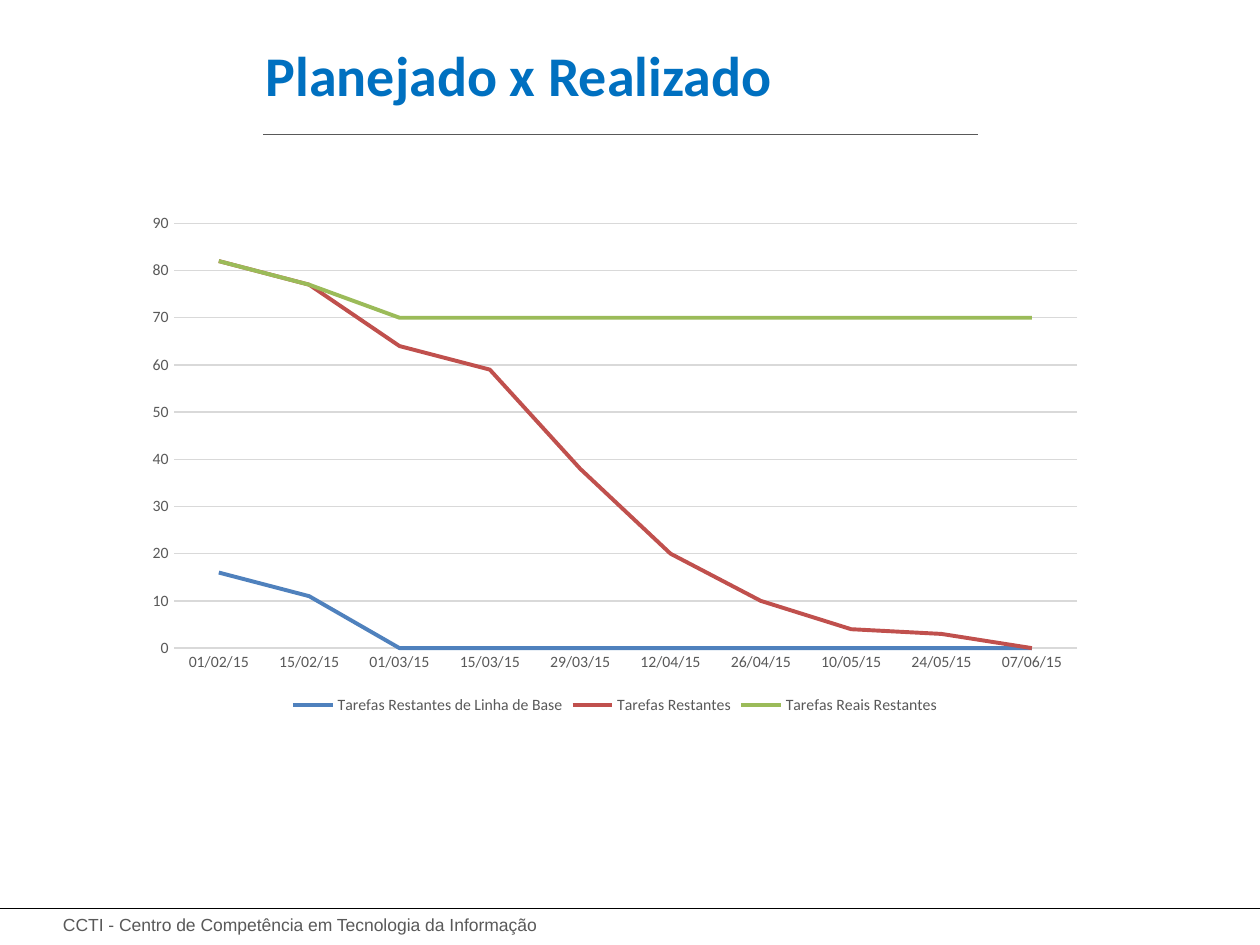
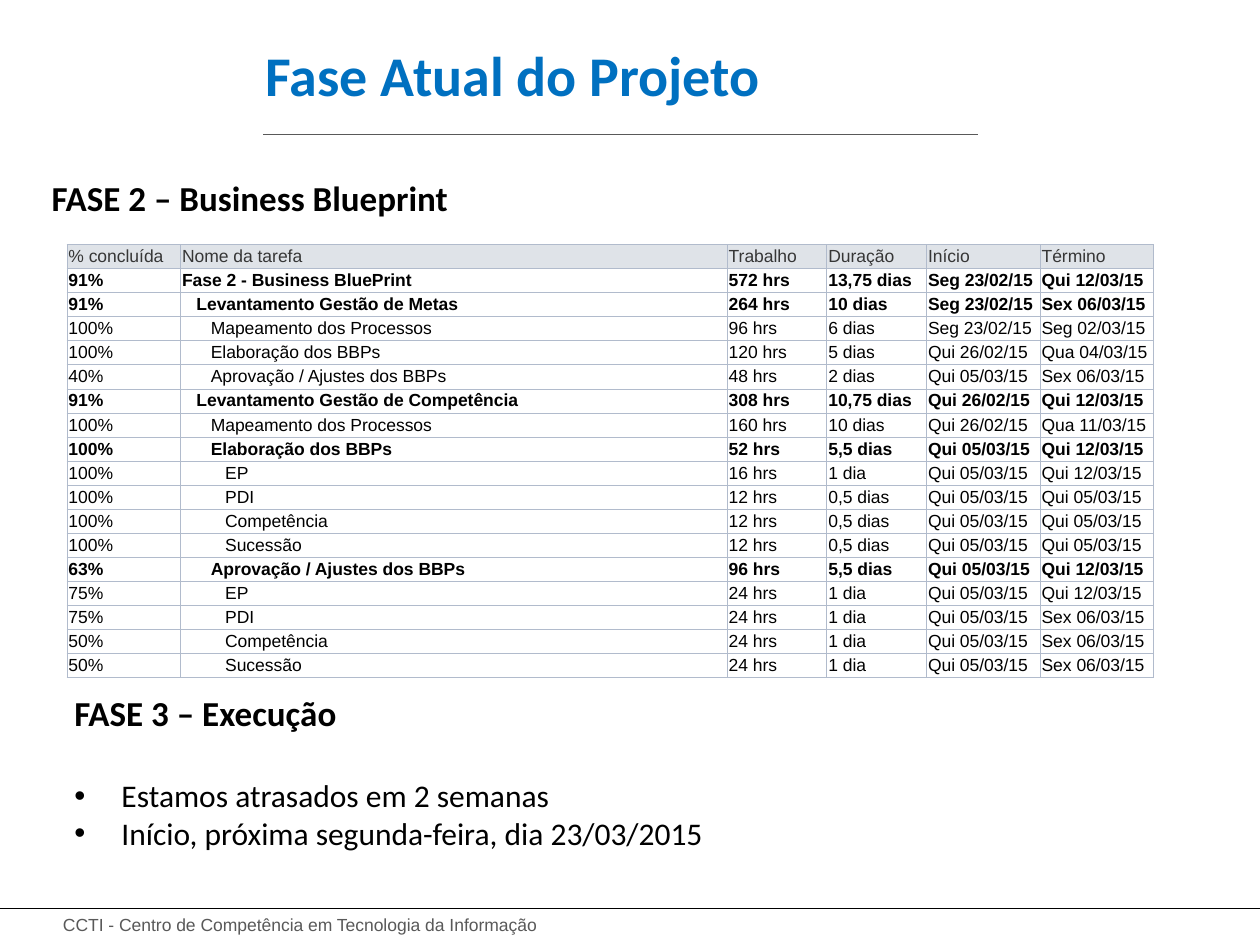
from dataclasses import dataclass

from lxml import etree
from pptx import Presentation
from pptx.chart.data import CategoryChartData
from pptx.dml.color import RGBColor
from pptx.enum.chart import XL_CHART_TYPE, XL_LEGEND_POSITION, XL_TICK_MARK
from pptx.enum.shapes import MSO_CONNECTOR
from pptx.enum.text import MSO_ANCHOR, PP_ALIGN
from pptx.oxml.ns import qn
from pptx.util import Cm, Pt

LINE_CHART = XL_CHART_TYPE.LINE
LEGEND_BOTTOM = XL_LEGEND_POSITION.BOTTOM
NO_TICK = XL_TICK_MARK.NONE
STRAIGHT = MSO_CONNECTOR.STRAIGHT
TOP, MIDDLE = MSO_ANCHOR.TOP, MSO_ANCHOR.MIDDLE
JUSTIFY = PP_ALIGN.JUSTIFY


@dataclass(frozen=True)
class Theme:
    title_color: str = "0070C0"
    ink: str = "000000"
    muted: str = "595959"
    grid: str = "D9D9D9"
    series: tuple = ("4F81BD", "C0504D", "9BBB59")
    header_ink: str = "363636"
    header_fill: str = "DFE3E8"
    cell_fill: str = "FFFFFF"
    border: str = "B1BBCC"
    heading_font: str = "Calibri"
    body_font: str = "Arial"
    title_size: int = 32
    heading_size: int = 20
    bullet_size: int = 18
    small_size: int = 10
    chart_size: int = 9


THEME = Theme()

# Boxes are left, top, width, height in centimetres
SLIDE_WIDTH, SLIDE_HEIGHT = 25.4, 19.05
TITLE_BOX = (5.11, 0.38, 15.67, 2.21)
FOOTER_BOX = (1.02, 18.31, 12.5, 0.69)
CHART_BOX = (2.69, 4.11, 19.41, 10.39)
PHASE_2_BOX = (0.89, 3.12, 23.19, 1.27)
TABLE_BOX = (1.35, 4.93, 21.91, 8.51)
PHASE_3_BOX = (1.35, 13.51, 23.19, 3.68)

FOOTER = "CCTI - Centro de Competência em Tecnologia da Informação"

DATES = ("01/02/15", "15/02/15", "01/03/15", "15/03/15", "29/03/15",
         "12/04/15", "26/04/15", "10/05/15", "24/05/15", "07/06/15")
REMAINING_TASKS = {
    "Tarefas Restantes de Linha de Base": (16, 11) + (0,) * 8,
    "Tarefas Restantes": (82, 77, 64, 59, 38, 20, 10, 4, 3, 0),
    "Tarefas Reais Restantes": (82, 77) + (70,) * 8,
}

COLUMN_WIDTHS = (2.29, 11.02, 2.01, 2.01, 2.29, 2.29)
TABLE_HEADER = ("% concluída", "Nome da tarefa", "Trabalho", "Duração",
                "Início", "Término")
# Outline level, bold, then the cell texts
TASKS = (
    (0, True, "91%", "Fase 2 - Business BluePrint", "572 hrs", "13,75 dias", "Seg 23/02/15", "Qui 12/03/15"),
    (1, True, "91%", "Levantamento Gestão de Metas", "264 hrs", "10 dias", "Seg 23/02/15", "Sex 06/03/15"),
    (2, False, "100%", "Mapeamento dos Processos", "96 hrs", "6 dias", "Seg 23/02/15", "Seg 02/03/15"),
    (2, False, "100%", "Elaboração dos BBPs", "120 hrs", "5 dias", "Qui 26/02/15", "Qua 04/03/15"),
    (2, False, "40%", "Aprovação / Ajustes dos BBPs", "48 hrs", "2 dias", "Qui 05/03/15", "Sex 06/03/15"),
    (1, True, "91%", "Levantamento Gestão de Competência", "308 hrs", "10,75 dias", "Qui 26/02/15", "Qui 12/03/15"),
    (2, False, "100%", "Mapeamento dos Processos", "160 hrs", "10 dias", "Qui 26/02/15", "Qua 11/03/15"),
    (2, True, "100%", "Elaboração dos BBPs", "52 hrs", "5,5 dias", "Qui 05/03/15", "Qui 12/03/15"),
    (3, False, "100%", "EP", "16 hrs", "1 dia", "Qui 05/03/15", "Qui 12/03/15"),
    (3, False, "100%", "PDI", "12 hrs", "0,5 dias", "Qui 05/03/15", "Qui 05/03/15"),
    (3, False, "100%", "Competência", "12 hrs", "0,5 dias", "Qui 05/03/15", "Qui 05/03/15"),
    (3, False, "100%", "Sucessão", "12 hrs", "0,5 dias", "Qui 05/03/15", "Qui 05/03/15"),
    (2, True, "63%", "Aprovação / Ajustes dos BBPs", "96 hrs", "5,5 dias", "Qui 05/03/15", "Qui 12/03/15"),
    (3, False, "75%", "EP", "24 hrs", "1 dia", "Qui 05/03/15", "Qui 12/03/15"),
    (3, False, "75%", "PDI", "24 hrs", "1 dia", "Qui 05/03/15", "Sex 06/03/15"),
    (3, False, "50%", "Competência", "24 hrs", "1 dia", "Qui 05/03/15", "Sex 06/03/15"),
    (3, False, "50%", "Sucessão", "24 hrs", "1 dia", "Qui 05/03/15", "Sex 06/03/15"),
)


def rgb(color):
    return RGBColor.from_string(color)


def set_font(font, name, size, color, bold=False):
    font.name, font.size, font.bold = name, Pt(size), bold
    font.color.rgb = rgb(color)


def add_text(slide, box, text, font, anchor=TOP):
    """Add a text box; font is name, size, colour and optional bold."""
    shape = slide.shapes.add_textbox(*map(Cm, box))
    text_frame = shape.text_frame
    text_frame.word_wrap = True
    text_frame.vertical_anchor = anchor
    text_frame.text = text
    set_font(text_frame.paragraphs[0].runs[0].font, *font)
    return text_frame


def add_rule(slide, left, top, width, color, points):
    rule = slide.shapes.add_connector(
        STRAIGHT, Cm(left), Cm(top), Cm(left + width), Cm(top))
    rule.line.color.rgb = rgb(color)
    rule.line.width = Pt(points)
    etree.SubElement(rule._element.spPr, qn("a:effectLst"))


def add_frame(presentation, title):
    """Add a slide with the shared title, rules and footer."""
    slide = presentation.slides.add_slide(presentation.slide_layouts[6])
    # Footer
    add_text(slide, FOOTER_BOX, FOOTER,
             (THEME.body_font, THEME.small_size, THEME.muted))
    add_rule(slide, 0, FOOTER_BOX[1], SLIDE_WIDTH, THEME.ink, 0.75)
    # Title and its rule
    left, top, width, height = TITLE_BOX
    add_rule(slide, left + 0.2, top + height + 0.13, 14.4, THEME.muted, 0.5)
    add_text(slide, TITLE_BOX, title,
             (THEME.heading_font, THEME.title_size, THEME.title_color, True), MIDDLE)
    return slide


def add_task_chart(slide, box):
    chart_data = CategoryChartData()
    chart_data.categories = DATES
    for name, values in REMAINING_TASKS.items():
        chart_data.add_series(name, values)
    chart = slide.shapes.add_chart(LINE_CHART, *map(Cm, box), chart_data).chart
    label_font = (THEME.heading_font, THEME.chart_size, THEME.muted)
    set_font(chart.font, THEME.heading_font, THEME.small_size, THEME.ink)
    chart.has_title = False

    # Legend
    chart.has_legend = True
    chart.legend.position = LEGEND_BOTTOM
    chart.legend.include_in_layout = False
    set_font(chart.legend.font, *label_font)

    # Axes
    for axis in (chart.category_axis, chart.value_axis):
        axis.major_tick_mark = axis.minor_tick_mark = NO_TICK
        axis.format.line.fill.background()
        set_font(axis.tick_labels.font, *label_font)
    value_axis = chart.value_axis
    value_axis.minimum_scale, value_axis.maximum_scale = 0, 90
    value_axis.major_unit = 10
    value_axis.major_gridlines.format.line.color.rgb = rgb(THEME.grid)
    value_axis.major_gridlines.format.line.width = Pt(0.75)

    # Series
    chart.plots[0].vary_by_categories = False
    for series, color in zip(chart.plots[0].series, THEME.series):
        series.smooth = False
        series.format.line.color.rgb = rgb(color)
        series.format.line.width = Pt(2.25)


def set_borders(cell):
    properties = cell._tc.get_or_add_tcPr()
    for side in ("lnL", "lnR", "lnT", "lnB"):
        line = etree.SubElement(properties, qn(f"a:{side}"), w=str(Pt(0.5)))
        fill = etree.SubElement(line, qn("a:solidFill"))
        etree.SubElement(fill, qn("a:srgbClr"), val=THEME.border)


def fill_cell(cell, text, fill, color, bold, level):
    set_borders(cell)
    cell.fill.solid()
    cell.fill.fore_color.rgb = rgb(fill)
    cell.vertical_anchor = MIDDLE
    cell.margin_left = Cm(0.03 + 0.29 * level)
    cell.margin_right = cell.margin_top = cell.margin_bottom = Cm(0.03)
    cell.text_frame.text = text
    set_font(cell.text_frame.paragraphs[0].runs[0].font,
             THEME.body_font, THEME.small_size, color, bold)


def add_task_table(slide, box):
    row_count = len(TASKS) + 1
    table = slide.shapes.add_table(
        row_count, len(TABLE_HEADER), *map(Cm, box)).table
    table.first_row = table.horz_banding = False
    for column, width in zip(table.columns, COLUMN_WIDTHS):
        column.width = Cm(width)
    for row in table.rows:
        row.height = Cm(box[3] / row_count)

    for column, text in enumerate(TABLE_HEADER):
        fill_cell(table.cell(0, column), text, THEME.header_fill,
                  THEME.header_ink, False, 0)
    for row, (level, bold, *texts) in enumerate(TASKS, start=1):
        for column, text in enumerate(texts):
            fill_cell(table.cell(row, column), text, THEME.cell_fill,
                      THEME.ink, bold, level if column == 1 else 0)


def add_bullet(text_frame, text):
    paragraph = text_frame.add_paragraph()
    paragraph.text = text
    set_font(paragraph.runs[0].font, THEME.heading_font, THEME.bullet_size, THEME.ink)
    properties = paragraph._p.get_or_add_pPr()
    properties.set("marL", str(Cm(0.95)))
    properties.set("indent", str(Cm(-0.95)))
    etree.SubElement(properties, qn("a:buFont"), typeface=THEME.body_font)
    etree.SubElement(properties, qn("a:buChar"), char="•")
    return paragraph


def add_phase(slide, box, heading, bullets=()):
    text_frame = add_text(
        slide, box, heading,
        (THEME.heading_font, THEME.heading_size, THEME.ink, True))
    text_frame.margin_left = text_frame.margin_right = Cm(0.15)
    text_frame.margin_top, text_frame.margin_bottom = Cm(0.43), 0
    text_frame.paragraphs[0].alignment = JUSTIFY
    for index, text in enumerate(bullets):
        paragraph = add_bullet(text_frame, text)
        paragraph.alignment = JUSTIFY
        if index == 0:
            paragraph.space_before = Pt(24.4)


def add_progress_slide(presentation):
    slide = add_frame(presentation, "Planejado x Realizado")
    add_task_chart(slide, CHART_BOX)


def add_phase_slide(presentation):
    slide = add_frame(presentation, "Fase Atual do Projeto")
    add_phase(slide, PHASE_2_BOX, "FASE 2 – Business Blueprint")
    add_phase(slide, PHASE_3_BOX, "FASE 3 – Execução",
              ("Estamos atrasados em 2 semanas",
               "Início, próxima segunda-feira, dia 23/03/2015"))
    add_task_table(slide, TABLE_BOX)


def main():
    presentation = Presentation()
    presentation.slide_width = Cm(SLIDE_WIDTH)
    presentation.slide_height = Cm(SLIDE_HEIGHT)
    add_progress_slide(presentation)
    add_phase_slide(presentation)
    presentation.save("out.pptx")


if __name__ == "__main__":
    main()
